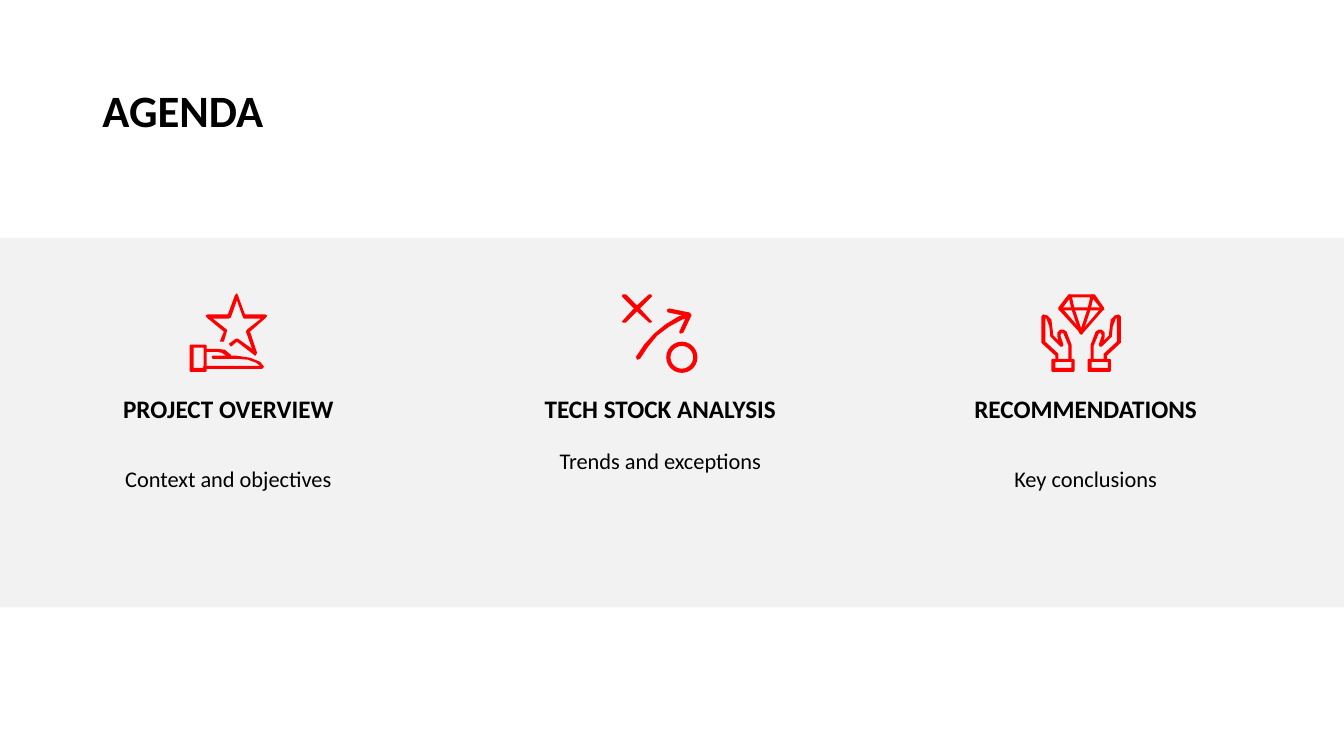
"""Build the agenda slide: three topics with icons on a grey band."""
from dataclasses import dataclass

from pptx import Presentation
from pptx.dml.color import RGBColor
from pptx.enum.shapes import MSO_SHAPE
from pptx.enum.text import MSO_ANCHOR, PP_ALIGN
from pptx.shapes.autoshape import Shape
from pptx.shapes.shapetree import GroupShapes
from pptx.slide import Slide
from pptx.text.text import _Paragraph as Paragraph
from pptx.util import Pt

COLOURS = {"text": "000000", "band": "F2F2F2", "icon": "FF0000"}
FONT = "Calibri"
ICON_UNIT = 0.72
ICON_TOP = 209.5
LABEL_TOP = 280.8
FRAME_INSET = 3.5

Contour = list[tuple[float, float]]
Outline = list[Contour]


@dataclass
class Ring:
    left: float
    top: float
    size: float
    thickness: float


@dataclass
class Icon:
    left: float
    outlines: list[Outline]
    rings: list[Ring]


@dataclass
class Topic:
    heading: str
    detail: str
    left: float
    width: float
    height: float
    detail_gap: float
    icon: Icon


def rectangle(left: float, top: float, right: float, bottom: float) -> Contour:
    """Return the corners of a rectangle."""
    return [(left, top), (right, top), (right, bottom), (left, bottom)]


def frame(left: float, top: float, right: float, bottom: float) -> Outline:
    """Return a hollow rectangle with clipped outer corners."""
    outer = [(left + 1, top), (right - 1, top), (right, top + 1), (right, bottom - 1),
             (right - 1, bottom), (left + 1, bottom), (left, bottom - 1), (left, top + 1)]
    inner = rectangle(left + FRAME_INSET, top + FRAME_INSET,
                      right - FRAME_INSET, bottom - FRAME_INSET)
    return [outer, inner]


def mirrored(outline: Outline, width: float = 79) -> Outline:
    """Return an outline flipped left to right within an icon."""
    return [[(width - x, y) for x, y in contour] for contour in outline]


PALM: Outline = [[
    (72, 75), (15, 75), (13, 73), (15, 72), (70, 72), (66, 69), (58, 66), (47, 65),
    (23, 65), (22, 63), (23, 62), (47, 62), (60, 63.5), (70, 68), (74, 73)]]
THUMB: Outline = [[
    (39, 64), (38, 64), (35, 61), (32, 59), (27, 58), (15, 58), (15, 55), (27, 55),
    (35, 56.5), (41, 61), (41, 62)]]
STAR: Outline = [[
    (65, 62), (64, 61), (47, 48), (41, 53), (39, 50), (46, 45), (48, 45), (62, 55),
    (56, 38), (57, 36), (71, 25), (54, 25), (53, 24), (47, 7), (41, 24), (39, 25),
    (23, 25), (37, 36), (37, 38), (34, 48), (30, 48), (34, 38), (17, 24), (16, 22),
    (18, 21), (38, 21), (45, 2), (47, 0), (48, 2), (55, 21), (75, 21), (77, 22),
    (76, 24), (60, 38), (67, 59), (66, 61)]]
GIRDLE: Outline = [[(61, 17), (19, 17), (17, 15.5), (19, 14), (61, 14), (63, 15.5)]]
GEM: Outline = [
    [(40, 41), (39, 40), (17, 16), (17, 14), (27, 1), (53, 1), (62, 14), (62, 16), (41, 40)],
    [(21, 15), (40, 37), (59, 15), (50, 4), (29, 4)]]
FACET: Outline = [[
    (40, 41), (38, 40), (30, 16), (27, 3), (28, 1), (30, 2), (33, 15), (41, 39)]]
HAND: Outline = [[
    (28, 68), (27, 66), (27, 52), (22, 40), (20, 39), (19, 42), (22, 51), (21, 53),
    (19, 53), (9, 43), (8, 33), (5, 25), (4, 25), (4, 48), (17, 60), (17, 66), (15, 68),
    (14, 66), (14, 62), (1, 50), (0, 49), (0, 23), (2, 21), (6, 22), (10, 26.5),
    (12, 42), (17, 47), (16, 43), (16, 39), (19, 36), (22, 36), (25, 38), (30, 51),
    (30, 66)]]
WRIST = frame(10, 65, 33, 78)
CROSS: Outline = [[
    (29, 27), (30, 28), (29, 29), (27, 29), (15, 18), (4, 29), (1, 29), (0, 28),
    (1, 27), (12, 15), (1, 4), (0, 3), (1, 1), (4, 1), (15, 12), (27, 1), (29, 1),
    (30, 3), (29, 4), (18, 15)]]
ARROW: Outline = [[
    (69, 21), (69, 22), (61, 39), (58, 40), (57, 39), (57, 38), (63, 25), (60, 26),
    (46.7, 33.1), (35.2, 42.1), (25.7, 52.9), (18, 65), (15, 66), (14, 63), (21.9, 50.9),
    (31.6, 40), (43.1, 30.7), (56, 23), (60, 22), (46, 19), (45, 18), (45, 16), (47, 15),
    (67, 19), (68, 20)]]

TOPICS = [
    Topic("PROJECT OVERVIEW", "Context and objectives", 59.8, 206.6, 95.8, 31.5,
          Icon(135.4, [frame(0, 51, 17, 78), PALM, THUMB, STAR], [])),
    Topic("TECH STOCK ANALYSIS", "Trends and exceptions", 340.6, 262.1, 113, 18.7,
          Icon(444.2, [CROSS, ARROW], [Ring(44, 48, 31, 4.2)])),
    Topic("RECOMMENDATIONS", "Key conclusions", 668.9, 213.1, 95.8, 31.5,
          Icon(743.8, [GIRDLE, GEM, WRIST, mirrored(WRIST), HAND, mirrored(HAND),
                       FACET, mirrored(FACET)], [])),
]


def paint(shape: Shape, colour: str) -> None:
    """Give a shape a flat fill without line or shadow."""
    shape.shadow.inherit = False
    shape.fill.solid()
    shape.fill.fore_color.rgb = RGBColor.from_string(COLOURS[colour])
    shape.line.fill.background()


def write(para: Paragraph, text: str, size: float, bold: bool, spacing: float) -> None:
    """Fill a paragraph with text in the slide's font."""
    para.text = text
    para.line_spacing = spacing
    para.font.name = FONT
    para.font.size = Pt(size)
    para.font.bold = bold
    para.font.color.rgb = RGBColor.from_string(COLOURS["text"])


def draw_outline(shapes: GroupShapes, outline: Outline, left: float) -> None:
    """Draw one filled part of an icon."""
    builder = shapes.build_freeform(*outline[0][0], scale=Pt(ICON_UNIT))
    for contour in outline:
        if contour is not outline[0]:
            builder.move_to(*contour[0])
        builder.add_line_segments(contour[1:], close=True)
    paint(builder.convert_to_shape(Pt(left), Pt(ICON_TOP)), "icon")


def draw_icon(page: Slide, icon: Icon) -> None:
    """Draw an icon as one group."""
    shapes = page.shapes.add_group_shape().shapes
    for outline in icon.outlines:
        draw_outline(shapes, outline, icon.left)
    for ring in icon.rings:
        size = Pt(ring.size * ICON_UNIT)
        donut = shapes.add_shape(
            MSO_SHAPE.DONUT, Pt(icon.left + ring.left * ICON_UNIT),
            Pt(ICON_TOP + ring.top * ICON_UNIT), size, size)
        donut.adjustments[0] = ring.thickness / ring.size
        paint(donut, "icon")


def draw_topic(page: Slide, topic: Topic) -> None:
    """Draw a topic's icon, heading and detail."""
    draw_icon(page, topic.icon)
    box = page.shapes.add_textbox(
        Pt(topic.left), Pt(LABEL_TOP), Pt(topic.width), Pt(topic.height))
    box.text_frame.word_wrap = True
    heading = box.text_frame.paragraphs[0]
    write(heading, topic.heading, 18, True, 0.85)
    detail = box.text_frame.add_paragraph()
    write(detail, topic.detail, 16, False, 0.9)
    detail.space_before = Pt(topic.detail_gap)
    for para in (heading, detail):
        para.alignment = PP_ALIGN.CENTER


def draw_title(page: Slide) -> None:
    """Place and fill the title placeholder."""
    title = page.shapes.title
    title.left, title.top, title.width, title.height = Pt(66), Pt(28.8), Pt(828), Pt(104.4)
    title.text_frame.vertical_anchor = MSO_ANCHOR.MIDDLE
    para = title.text_frame.paragraphs[0]
    write(para, "AGENDA", 32, True, 0.9)
    para.alignment = PP_ALIGN.LEFT


def main() -> None:
    """Build and save the deck."""
    deck = Presentation()
    deck.slide_width, deck.slide_height = Pt(960), Pt(540)
    page = deck.slides.add_slide(deck.slide_layouts.get_by_name("Title Only"))
    band = page.shapes.add_shape(MSO_SHAPE.RECTANGLE, 0, Pt(169.9), Pt(960), Pt(264))
    paint(band, "band")
    for topic in TOPICS:
        draw_topic(page, topic)
    draw_title(page)
    deck.save("out.pptx")


if __name__ == "__main__":
    main()
